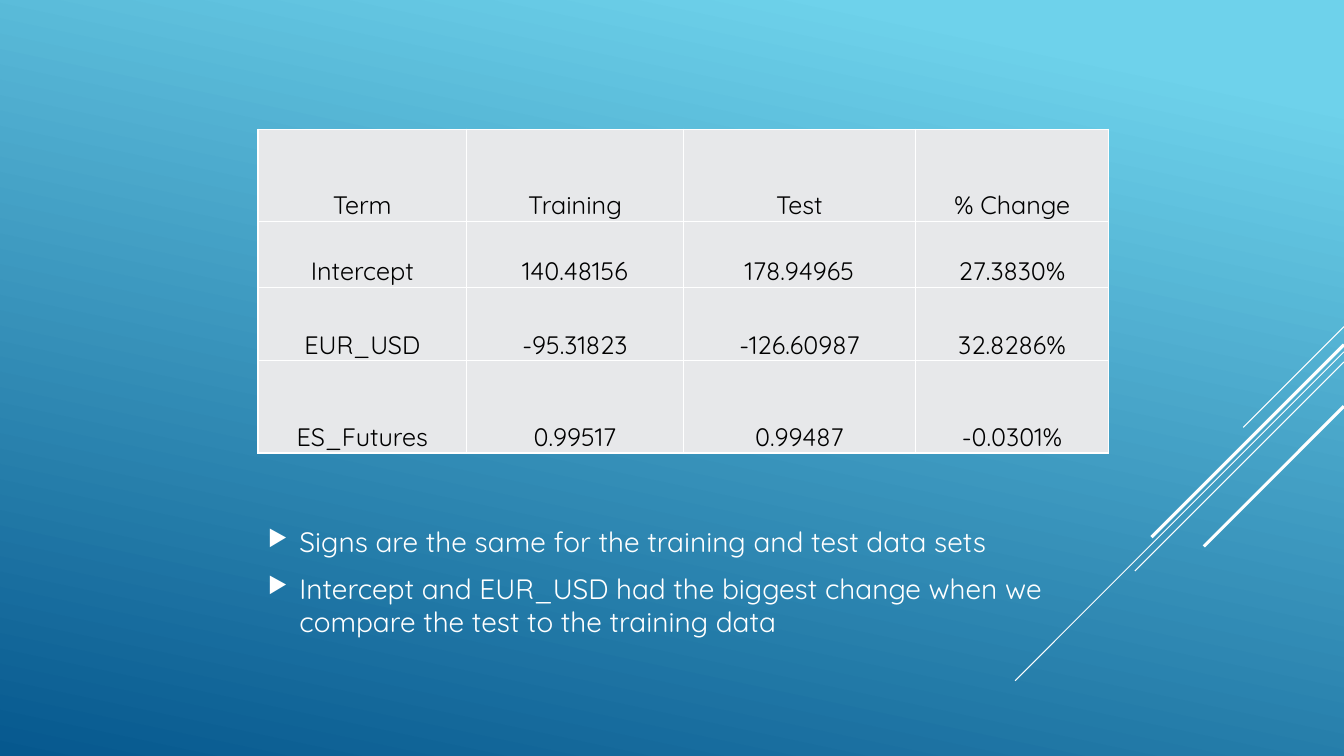
from lxml import etree
from pptx import Presentation
from pptx.dml.color import RGBColor
from pptx.enum.shapes import MSO_CONNECTOR
from pptx.enum.text import MSO_ANCHOR, PP_ALIGN
from pptx.oxml import parse_xml
from pptx.oxml.ns import nsdecls, qn
from pptx.util import Pt

FONT = "Quicksand"
WHITE = RGBColor(0xFF, 0xFF, 0xFF)
BLACK = RGBColor(0x00, 0x00, 0x00)
CELL_GRAY = RGBColor(0xE7, 0xE8, 0xEA)
SKY = RGBColor(0x6E, 0xD2, 0xEB)
DEEP_BLUE = RGBColor(0x06, 0x58, 0x8E)

SLIDE_W, SLIDE_H = 960, 540
GRADIENT = [(0.1, SKY), (1, DEEP_BLUE)]

# start height at the right edge, horizontal run, width
DIAGONALS = [
    (233.3, 72, 0.75),
    (251.3, 234.9, 0.75),
    (258.5, 149.4, 0.75),
    (246.2, 137.5, 2.25),
    (290.2, 100.1, 2.25),
]

TABLE_LEFT, TABLE_TOP = 184.3, 92.2
COL_WIDTHS = [149, 154.8, 165.9, 137.9]
ROW_HEIGHTS = [65.9, 47.1, 52.6, 65.8]
COEFFICIENTS = [
    ("Term", "Training", "Test", "% Change"),
    ("Intercept", "140.48156", "178.94965", "27.3830%"),
    ("EUR_USD", "-95.31823", "-126.60987", "32.8286%"),
    ("ES_Futures", "0.99517", "0.99487", "-0.0301%"),
]

FINDINGS_BOX = (184.3, 324, 626.4, 182.9)
FINDINGS = [
    "Signs are the same for the training and test data sets",
    "Intercept and EUR_USD had the biggest change when we compare the test to the training data",
]
INDENT = 22.5


def add_text(p, text, size, color):
    r = p.add_run()
    r.text = text
    r.font.size = Pt(size)
    r.font.name = FONT
    r.font.bold = False
    r.font.color.rgb = color


def add_borders(cell):
    tcPr = cell._tc.get_or_add_tcPr()
    for i, side in enumerate(("lnL", "lnR", "lnT", "lnB")):
        tcPr.insert(i, parse_xml(
            f'<a:{side} {nsdecls("a")} w="{Pt(1)}"><a:solidFill>'
            f'<a:srgbClr val="{WHITE}"/></a:solidFill></a:{side}>'))


def add_bullet(p):
    pPr = p._p.get_or_add_pPr()
    pPr.set("marL", str(Pt(INDENT)))
    pPr.set("indent", str(-Pt(INDENT)))
    color = etree.SubElement(pPr, qn("a:buClr"))
    etree.SubElement(color, qn("a:srgbClr"), val=str(WHITE))
    etree.SubElement(pPr, qn("a:buSzPct"), val="80000")
    etree.SubElement(pPr, qn("a:buChar"), char="▶")


def add_background(slide):
    fill = slide.background.fill
    fill.gradient()
    fill.gradient_angle = 258
    for stop, (position, color) in zip(fill.gradient_stops, GRADIENT):
        stop.position = position
        stop.color.rgb = color


def add_diagonals(slide):
    for y, run, width in DIAGONALS:
        line = slide.shapes.add_connector(
            MSO_CONNECTOR.STRAIGHT, Pt(SLIDE_W), Pt(y), Pt(SLIDE_W - run), Pt(y + run))
        line.line.color.rgb = WHITE
        line.line.width = Pt(width)
        etree.SubElement(line._element.spPr, qn("a:effectLst"))


def add_coefficients(slide):
    table = slide.shapes.add_table(
        len(ROW_HEIGHTS), len(COL_WIDTHS), Pt(TABLE_LEFT), Pt(TABLE_TOP),
        Pt(sum(COL_WIDTHS)), Pt(sum(ROW_HEIGHTS))).table
    table.first_row = table.horz_banding = False
    for col, width in zip(table.columns, COL_WIDTHS):
        col.width = Pt(width)
    for row, height, values in zip(table.rows, ROW_HEIGHTS, COEFFICIENTS):
        row.height = Pt(height)
        for cell, value in zip(row.cells, values):
            cell.fill.solid()
            cell.fill.fore_color.rgb = CELL_GRAY
            cell.margin_left = cell.margin_right = 0
            cell.margin_top = cell.margin_bottom = 0
            cell.vertical_anchor = MSO_ANCHOR.BOTTOM
            add_borders(cell)
            p = cell.text_frame.paragraphs[0]
            p.alignment = PP_ALIGN.CENTER
            add_text(p, value, 18, BLACK)


def add_findings(slide):
    tf = slide.shapes.add_textbox(*map(Pt, FINDINGS_BOX)).text_frame
    tf.word_wrap = True
    tf.vertical_anchor = MSO_ANCHOR.MIDDLE
    for i, finding in enumerate(FINDINGS):
        p = tf.add_paragraph() if i else tf.paragraphs[0]
        add_bullet(p)
        p.space_before = Pt(3 if i else 0)
        p.space_after = Pt(6)
        add_text(p, finding, 20, WHITE)


def main():
    prs = Presentation()
    prs.slide_width, prs.slide_height = Pt(SLIDE_W), Pt(SLIDE_H)
    slide = prs.slides.add_slide(prs.slide_layouts[6])
    add_background(slide)
    add_diagonals(slide)
    add_coefficients(slide)
    add_findings(slide)
    prs.save("out.pptx")


if __name__ == "__main__":
    main()
